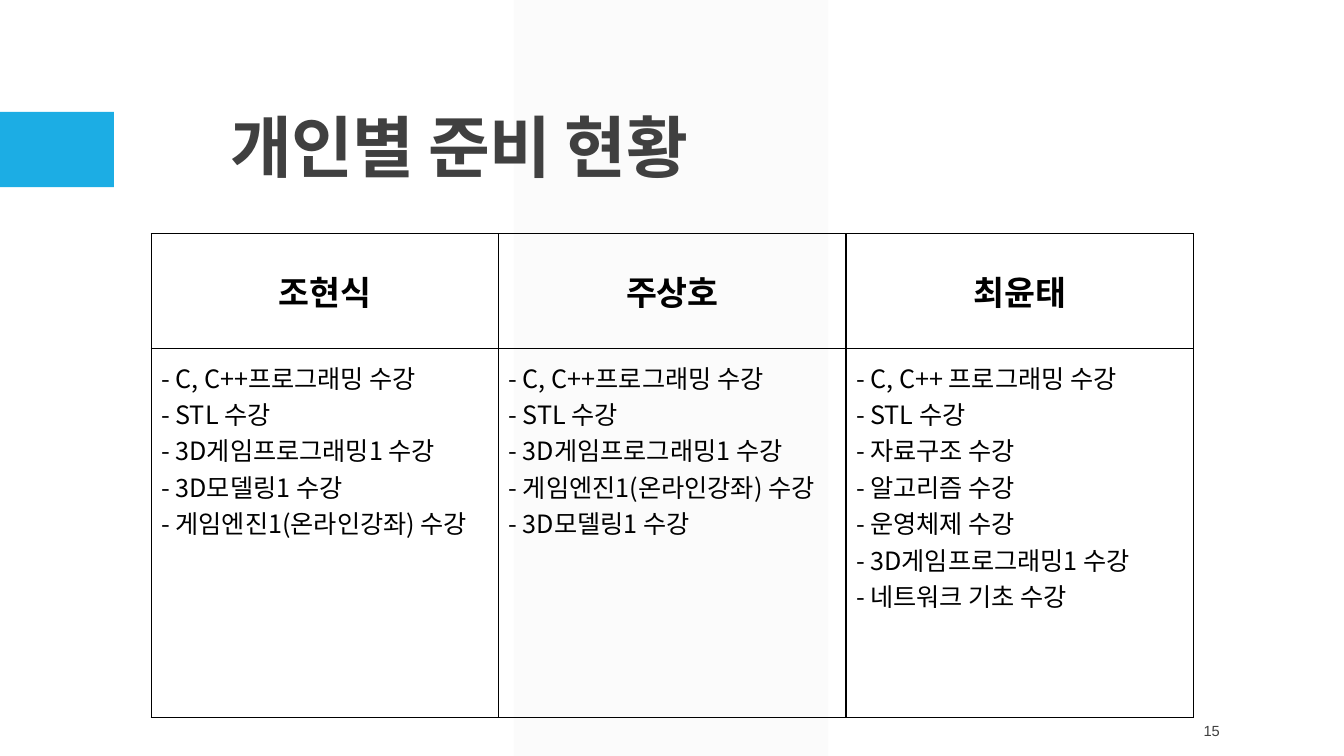
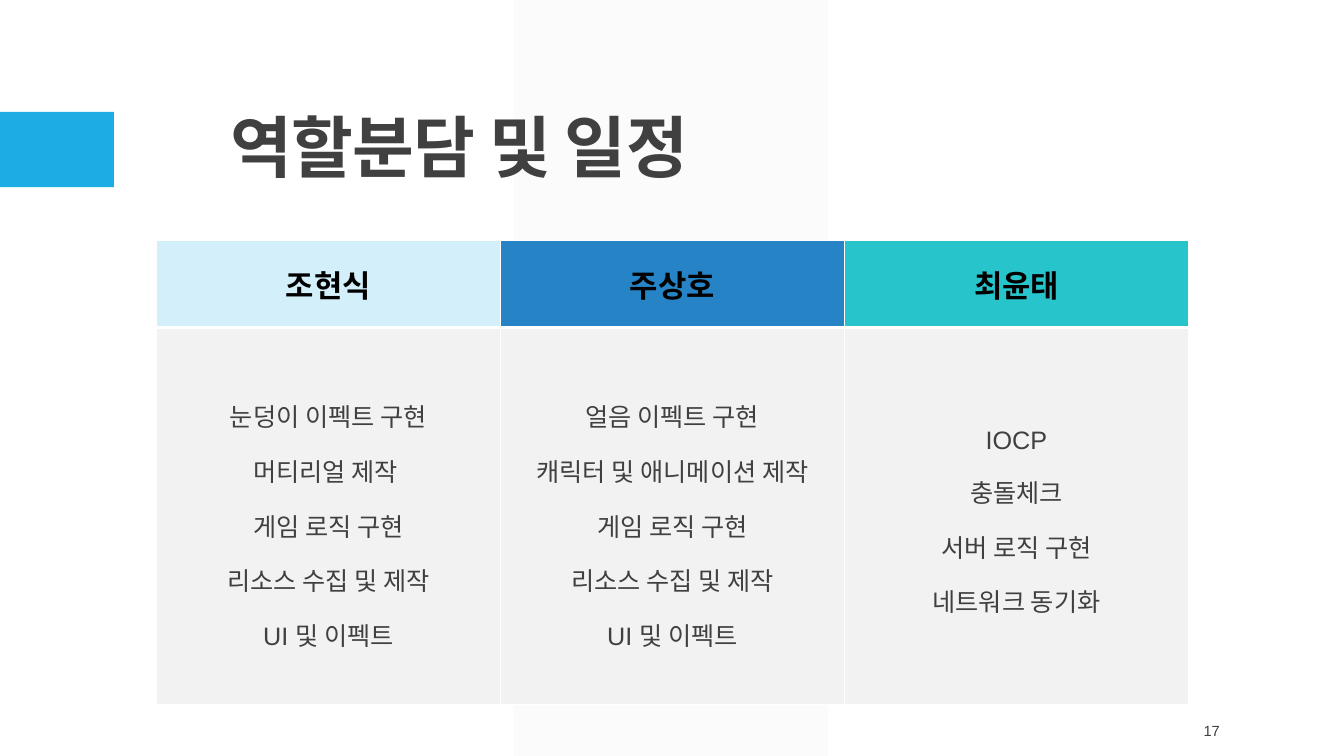
from lxml import etree
from pptx import Presentation
from pptx.dml.color import RGBColor
from pptx.enum.shapes import MSO_SHAPE
from pptx.enum.text import MSO_ANCHOR, PP_ALIGN
from pptx.oxml.ns import qn
from pptx.util import Cm, Pt

RECT = MSO_SHAPE.RECTANGLE
TOP, MIDDLE, BOTTOM = MSO_ANCHOR.TOP, MSO_ANCHOR.MIDDLE, MSO_ANCHOR.BOTTOM
LEFT, CENTER, RIGHT = PP_ALIGN.LEFT, PP_ALIGN.CENTER, PP_ALIGN.RIGHT

COLORS = {
    "accent": "1CADE4", "gray": "F2F2F2", "text": "404040",
    "black": "000000", "white": "FFFFFF",
    "sky": "D2EFFA", "blue": "2683C6", "teal": "28C4CC",
}
SANS, KOREAN = "Arial", "Noto Sans CJK KR"

# Content
MEMBERS = ["조현식", "주상호", "최윤태"]
COURSES = [
    ["- C, C++프로그래밍 수강", "- STL 수강", "- 3D게임프로그래밍1 수강",
     "- 3D모델링1 수강", "- 게임엔진1(온라인강좌) 수강"],
    ["- C, C++프로그래밍 수강", "- STL 수강", "- 3D게임프로그래밍1 수강",
     "- 게임엔진1(온라인강좌) 수강", "- 3D모델링1 수강"],
    ["- C, C++ 프로그래밍 수강", "- STL 수강", "- 자료구조 수강", "- 알고리즘 수강",
     "- 운영체제 수강", "- 3D게임프로그래밍1 수강", "- 네트워크 기초 수강"],
]
ROLES = [
    ["눈덩이 이펙트 구현", "머티리얼 제작 ", "게임 로직 구현",
     "리소스 수집 및 제작", "UI 및 이펙트"],
    ["얼음 이펙트 구현", "캐릭터 및 애니메이션 제작", "게임 로직 구현",
     "리소스 수집 및 제작", "UI 및 이펙트"],
    ["IOCP", "충돌체크", "서버 로직 구현", "네트워크 동기화"],
]

# Text formats: font values, colour, alignment, line spacing
TITLE = {"font": {"name": SANS, "size": Pt(48), "bold": True},
         "color": "text", "align": LEFT, "spacing": 0.9, "tracking": -50}
NUMBER = {"font": {"name": SANS, "size": Pt(10.5)}, "color": "text", "align": RIGHT}

# Each table: box in cm, borders, and one format per row
SLIDES = [
    {"title": "개인별 준비 현황", "number": "15", "body": COURSES,
     "left": 3.81, "top": 5.89, "width": 26.27,
     "line": "black", "rule": 1, "weight": 1,
     "rows": [
         {"height": 2.9, "fills": [None] * 3, "anchor": MIDDLE, "margins": (0.25, 0.25),
          "font": {"name": KOREAN, "size": Pt(24), "bold": True},
          "color": "black", "align": CENTER},
         {"height": 9.3, "fills": [None] * 3, "anchor": TOP, "margins": (0.25, 0.25),
          "font": {"name": KOREAN, "size": Pt(18), "bold": False},
          "color": "black", "align": LEFT}]},
    {"title": "역할분담 및 일정", "number": "17", "body": ROLES,
     "left": 3.94, "top": 6.07, "width": 26.01,
     "line": "white", "rule": 3, "weight": 1,
     "rows": [
         {"height": 2.18, "fills": ["sky", "blue", "teal"], "anchor": MIDDLE,
          "margins": (0.3, 0.15),
          "font": {"name": SANS, "size": Pt(22), "bold": True},
          "color": "black", "align": CENTER},
         {"height": 9.5, "fills": ["gray"] * 3, "anchor": MIDDLE, "margins": (0.25, 0.13),
          "font": {"name": SANS, "size": Pt(18), "bold": False},
          "color": "text", "align": CENTER, "spacing": 1.5}]},
]


def rgb(name):
    return RGBColor.from_string(COLORS[name])


def write(tf, lines, fmt):
    """Fill a text frame with one paragraph per line."""
    for i, line in enumerate(lines):
        p = tf.add_paragraph() if i else tf.paragraphs[0]
        p.alignment = fmt["align"]
        if "spacing" in fmt:
            p.line_spacing = fmt["spacing"]
        r = p.add_run()
        r.text = line
        for key, value in fmt["font"].items():
            setattr(r.font, key, value)
        r.font.color.rgb = rgb(fmt["color"])
        rpr = r.font._element
        etree.SubElement(rpr, qn("a:ea"), typeface=KOREAN)
        if "tracking" in fmt:
            rpr.set("spc", str(fmt["tracking"]))


def add_text(s, box, text, fmt, anchor):
    tf = s.shapes.add_textbox(*map(Cm, box)).text_frame
    tf.word_wrap = True
    tf.vertical_anchor = anchor
    write(tf, [text], fmt)


def add_block(s, box, color, opacity=100):
    sp = s.shapes.add_shape(RECT, *map(Cm, box))
    sp.shadow.inherit = False
    sp.fill.solid()
    sp.fill.fore_color.rgb = rgb(color)
    sp.line.fill.background()
    if opacity < 100:
        clr = sp._element.spPr.find(".//" + qn("a:srgbClr"))
        etree.SubElement(clr, qn("a:alpha"), val=str(opacity * 1000))


def set_borders(cell, color, weights):
    """Draw the left, right, top and bottom borders, in points."""
    tcpr = cell._tc.get_or_add_tcPr()
    for i, (side, weight) in enumerate(zip("LRTB", weights)):
        ln = etree.Element(qn("a:ln" + side), w=str(Pt(weight)))
        fill = etree.SubElement(ln, qn("a:solidFill"))
        etree.SubElement(fill, qn("a:srgbClr"), val=COLORS[color])
        tcpr.insert(i, ln)


def add_member_table(s, spec_):
    rows = spec_["rows"]
    height = sum(row["height"] for row in rows)
    box = (spec_["left"], spec_["top"], spec_["width"], height)
    table = s.shapes.add_table(len(rows), len(MEMBERS), *map(Cm, box)).table
    table.first_row = table.horz_banding = False
    for col in table.columns:
        col.width = Cm(spec_["width"] / len(MEMBERS))
    texts = [[[name] for name in MEMBERS], spec_["body"]]
    thin, rule = spec_["weight"], spec_["rule"]
    edges = [(thin, thin, thin, rule), (thin, thin, rule, thin)]
    for i, row in enumerate(rows):
        table.rows[i].height = Cm(row["height"])
        for j, fill in enumerate(row["fills"]):
            cell = table.cell(i, j)
            side, end = map(Cm, row["margins"])
            cell.margin_left = cell.margin_right = side
            cell.margin_top = cell.margin_bottom = end
            cell.vertical_anchor = row["anchor"]
            if fill:
                cell.fill.solid()
                cell.fill.fore_color.rgb = rgb(fill)
            else:
                cell.fill.background()
            set_borders(cell, spec_["line"], edges[i])
            write(cell.text_frame, texts[i][j], row)


def add_frame(prs, title, number):
    """Add a slide with the shared band, accent, title and page number."""
    s = prs.slides.add_slide(prs.slide_layouts[6])
    add_block(s, (12.95, 0, 7.92, 19.05), "gray", 30)
    add_block(s, (0, 2.82, 2.87, 1.9), "accent")
    add_text(s, (5.56, 0.79, 27.94, 4.04), title, TITLE, BOTTOM)
    add_text(s, (28.83, 17.91, 2.16, 1.02), number, NUMBER, MIDDLE)
    return s


def main():
    prs = Presentation()
    prs.slide_width, prs.slide_height = Cm(33.87), Cm(19.05)
    for content in SLIDES:
        s = add_frame(prs, content["title"], content["number"])
        add_member_table(s, content)
    prs.save("out.pptx")


if __name__ == "__main__":
    main()
